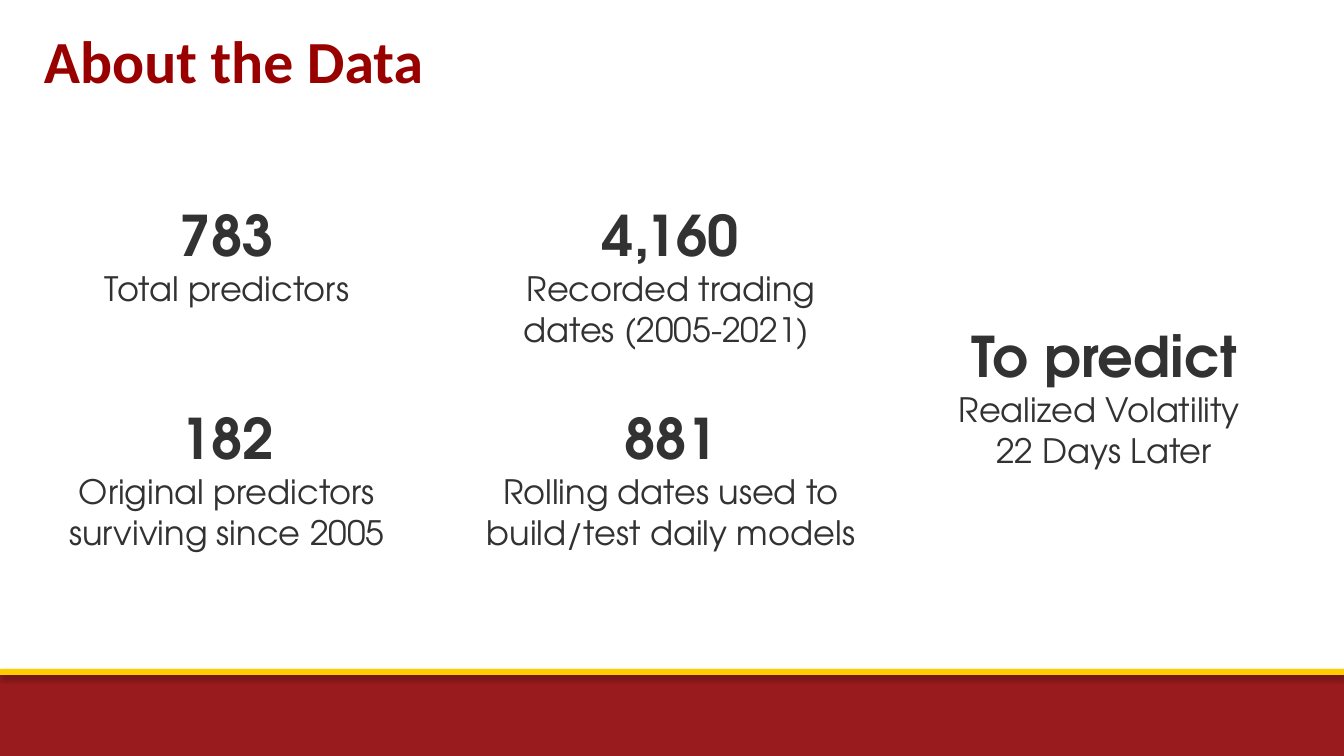
from lxml import etree
from pptx import Presentation
from pptx import util as u
from pptx.dml.color import RGBColor
from pptx.enum import shapes, text
from pptx.oxml.ns import qn

PX = 914400 / 134.4
WIDE, HIGH = 1344, 756
HUES = {"red": "991B1E", "gold": "FFCC00", "title": "990000", "ink": "323232", "shade": "000000"}


def emu(px):
    return u.Emu(round(px * PX))


class Deck:
    head = "Calibri"
    body = "TeX Gyre Adventor"

    def __init__(self):
        self.show = Presentation()
        self.show.slide_width, self.show.slide_height = emu(WIDE), emu(HIGH)
        self.slide = self.show.slides.add_slide(self.show.slide_layouts[6])

    def hue(self, name):
        return RGBColor.from_string(HUES[name])

    def shade(self, shape, alpha, dist):
        shape.shadow.inherit = False
        effects = shape._element.spPr.find(qn("a:effectLst"))
        outer = etree.SubElement(effects, qn("a:outerShdw"), blurRad=str(u.Pt(3.1)),
                                 dist=str(u.Pt(dist)), dir="5400000", rotWithShape="0")
        color = etree.SubElement(outer, qn("a:srgbClr"), val=HUES["shade"])
        etree.SubElement(color, qn("a:alpha"), val=str(alpha * 1000))

    def band(self, top, high, fill, alpha, dist):
        bar = self.slide.shapes.add_shape(
            shapes.MSO_SHAPE.RECTANGLE, 0, emu(top), emu(WIDE), emu(high))
        bar.fill.solid()
        bar.fill.fore_color.rgb = self.hue(fill)
        bar.line.fill.background()
        self.shade(bar, alpha, dist)

    def frame(self, box, side, edge):
        frame = self.slide.shapes.add_textbox(*map(emu, box)).text_frame
        frame.word_wrap = True
        frame.margin_left = frame.margin_right = emu(side)
        frame.margin_top = frame.margin_bottom = emu(edge)
        return frame

    def style(self, para, words, face, size, color, bold):
        para.text = words
        para.font.name = face
        para.font.size = u.Pt(size)
        para.font.bold = bold
        para.font.color.rgb = self.hue(color)

    def title(self, box, words):
        frame = self.frame(box, 10, 5)
        frame.vertical_anchor = text.MSO_ANCHOR.MIDDLE
        self.style(frame.paragraphs[0], words, self.head, 32, "title", True)

    def fact(self, box, figure, *notes):
        frame = self.frame(box, 13, 13)
        frame.auto_size = text.MSO_AUTO_SIZE.SHAPE_TO_FIT_TEXT
        for row, words in enumerate((figure, *notes)):
            para = frame.add_paragraph() if row else frame.paragraphs[0]
            para.alignment = text.PP_ALIGN.CENTER
            self.style(para, words, self.body, 18 if row else 30, "ink", not row)


def main():
    deck = Deck()
    deck.band(675, 81, "red", 35, 1.8)
    deck.band(669, 6, "gold", 38, 1.6)
    deck.title((34, 17, 1133, 85), "About the Data")

    left, mid, right = 227, 671, 1104
    upper, lower = 188, 391
    center = (upper + lower) // 2 + 20
    facts = [
        (left, lower, 386, 176, "182", "Original predictors surviving since 2005"),
        (left, upper, 304, 136, "783", "Total predictors"),
        (mid, upper, 410, 176, "4,160", "Recorded trading dates (2005-2021) "),
        (mid, lower, 410, 176, "881", "Rolling dates used to build/test daily models"),
        (right, center, 410, 176, "To predict", "Realized Volatility ", "22 Days Later"),
    ]
    for axis, top, wide, high, figure, *notes in facts:
        deck.fact((axis - wide // 2, top, wide, high), figure, *notes)

    deck.show.save("out.pptx")


if __name__ == "__main__":
    main()
